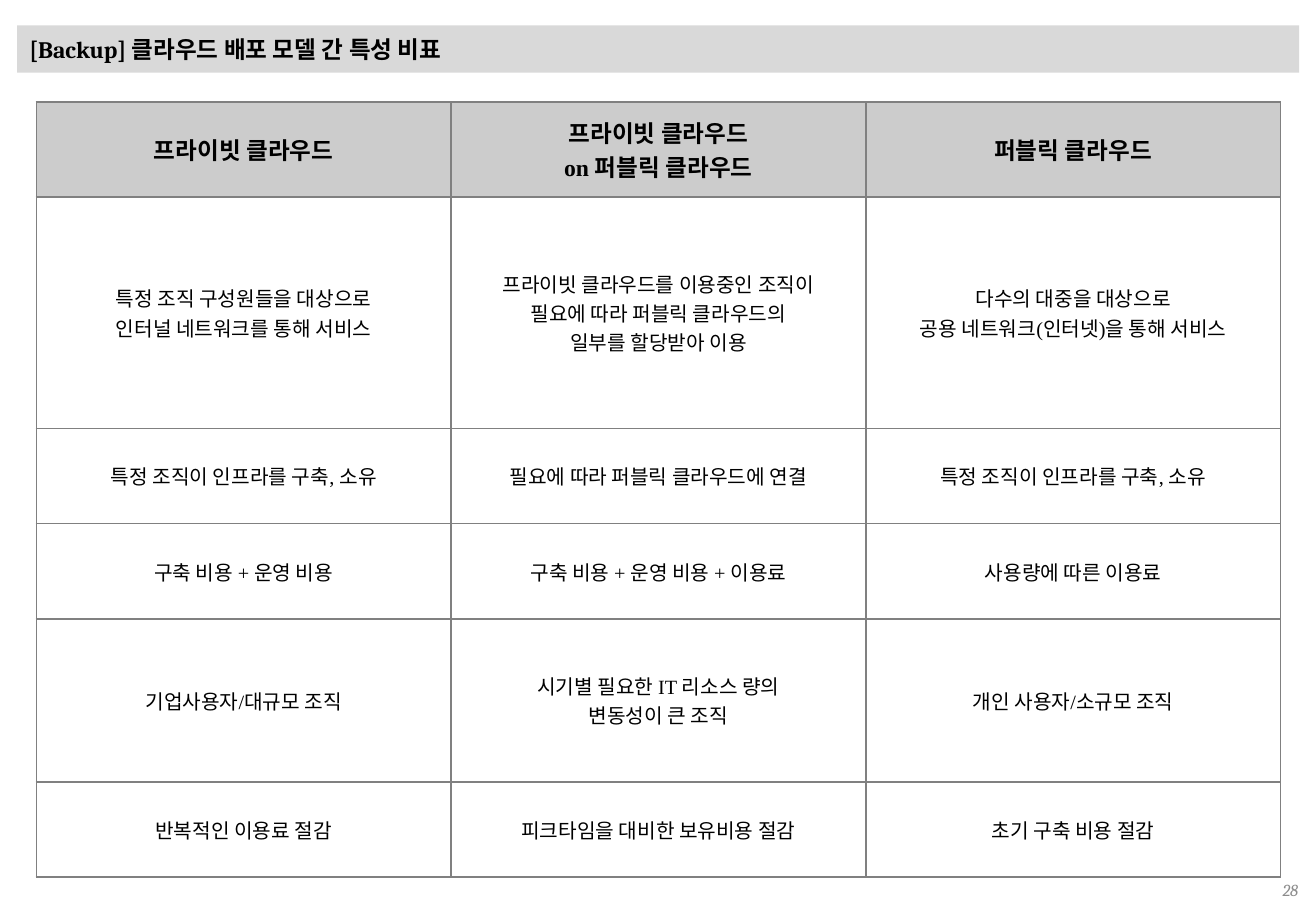
from lxml import etree
from pptx import Presentation
from pptx.dml.color import RGBColor
from pptx.enum import text
from pptx.oxml.ns import qn
from pptx.util import Cm, Pt


def rgb(color):
    return RGBColor.from_string(color)


def style(p, font, size, align, color="000000", bold=False, italic=False):
    p.alignment = align
    f = p.font
    f.name, f.size, f.bold, f.italic = font, Pt(size), bold, italic
    f.color.rgb = rgb(color)


ALIGN = text.PP_ALIGN
MIDDLE = text.MSO_ANCHOR.MIDDLE

prs = Presentation()
prs.slide_width, prs.slide_height = Cm(27.51), Cm(19.05)
s = prs.slides.add_slide(prs.slide_layouts[5])

# Title bar
title = s.shapes.title
title.left, title.top, title.width, title.height = Cm(0.36), Cm(0.53), Cm(26.8), Cm(0.99)
title.fill.solid()
title.fill.fore_color.rgb = rgb("D9D9D9")
tf = title.text_frame
tf.text = "[Backup] 클라우드 배포 모델 간 특성 비표"
tf.auto_size = text.MSO_AUTO_SIZE.NONE
tf.vertical_anchor = MIDDLE
style(tf.paragraphs[0], "Cambria", 14, ALIGN.LEFT, bold=True)

# Comparison table: one column per deployment model
rows = [
    ("프라이빗 클라우드", "프라이빗 클라우드\non 퍼블릭 클라우드", "퍼블릭 클라우드"),
    ("특정 조직 구성원들을 대상으로\n인터널 네트워크를 통해 서비스",
     "프라이빗 클라우드를 이용중인 조직이\n필요에 따라 퍼블릭 클라우드의\n일부를 할당받아 이용",
     "다수의 대중을 대상으로\n공용 네트워크(인터넷)을 통해 서비스"),
    ("특정 조직이 인프라를 구축, 소유", "필요에 따라 퍼블릭 클라우드에 연결",
     "특정 조직이 인프라를 구축, 소유"),
    ("구축 비용 + 운영 비용", "구축 비용 + 운영 비용 + 이용료", "사용량에 따른 이용료"),
    ("기업사용자/대규모 조직", "시기별 필요한 IT 리소스 량의\n변동성이 큰 조직",
     "개인 사용자/소규모 조직"),
    ("반복적인 이용료 절감", "피크타임을 대비한 보유비용 절감", "초기 구축 비용 절감"),
]
heights = [1.99, 4.84, 1.99, 1.99, 3.41, 1.99]
table = s.shapes.add_table(len(rows), 3, Cm(0.76), Cm(2.13), Cm(26.01), Cm(sum(heights))).table
for column in table.columns:
    column.width = Cm(8.67)

for i, (row, height) in enumerate(zip(rows, heights)):
    table.rows[i].height = Cm(height)
    header = i == 0
    for j, content in enumerate(row):
        cell = table.cell(i, j)
        cell.text = content
        cell.vertical_anchor = MIDDLE
        cell.margin_left = cell.margin_right = Cm(0.15)
        cell.margin_top = cell.margin_bottom = Cm(0.1)
        for p in cell.text_frame.paragraphs:
            style(p, "Times New Roman", 14 if header else 12, ALIGN.CENTER, bold=header)

        # Borders come before the fill in the cell properties
        tcPr = cell._tc.get_or_add_tcPr()
        for side in ("a:lnL", "a:lnR", "a:lnT", "a:lnB"):
            ln = etree.SubElement(tcPr, qn(side), w=str(Pt(1)))
            fill = etree.SubElement(ln, qn("a:solidFill"))
            etree.SubElement(fill, qn("a:srgbClr"), val="808080")
        cell.fill.solid()
        cell.fill.fore_color.rgb = rgb("CCCCCC" if header else "FFFFFF")

# Page number
tb = s.shapes.add_textbox(Cm(20.96), Cm(18.31), Cm(6.43), Cm(0.61))
tf = tb.text_frame
tf.word_wrap = True
tf.vertical_anchor = MIDDLE
tf.text = "28"
style(tf.paragraphs[0], "Cambria", 10, ALIGN.RIGHT, color="8C8C8C", italic=True)

prs.save("out.pptx")
